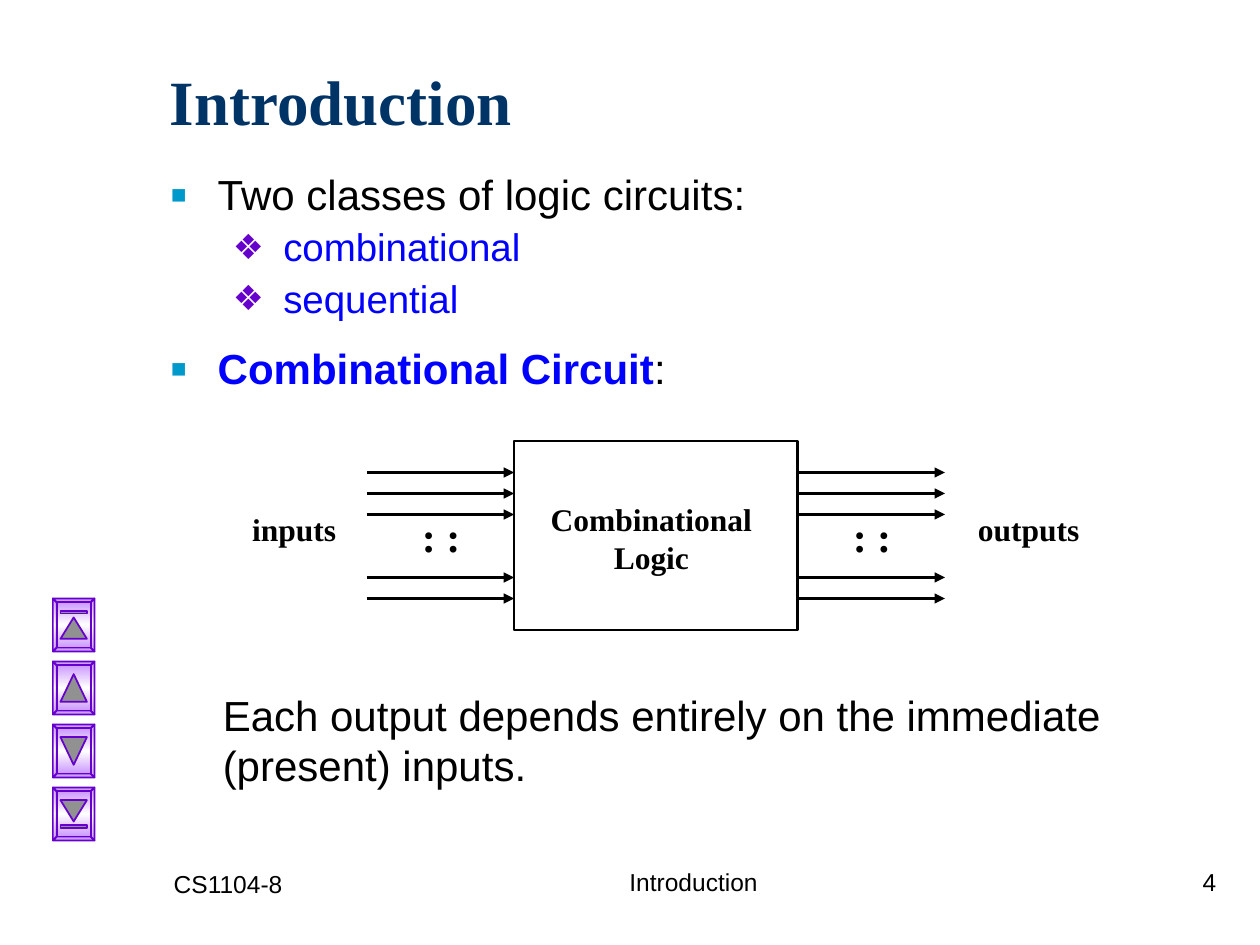
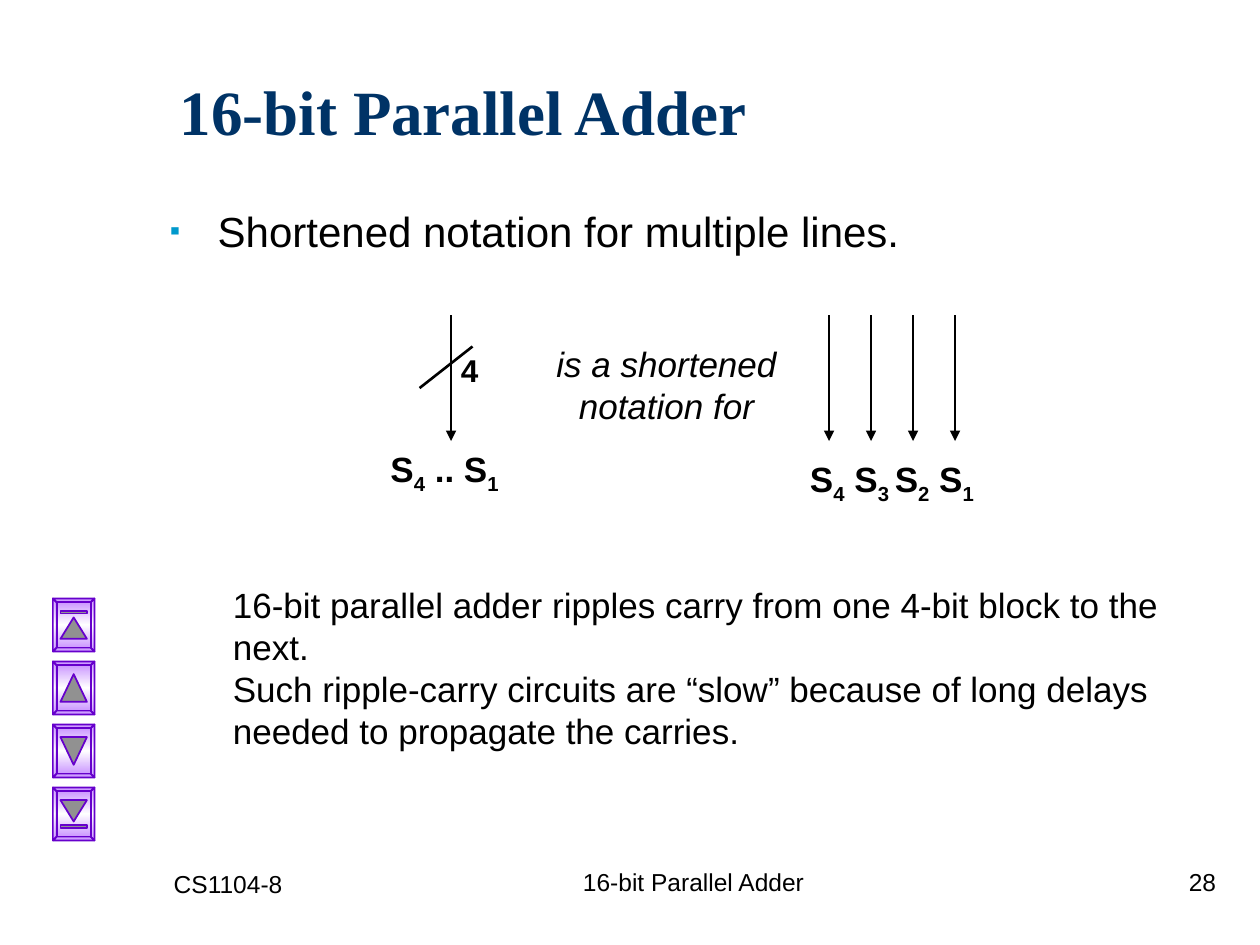
from copy import deepcopy

from lxml.etree import SubElement
from pptx import Presentation
from pptx.dml.color import RGBColor
from pptx.enum.shapes import MSO_CONNECTOR, MSO_SHAPE
from pptx.enum.text import MSO_ANCHOR, PP_ALIGN
from pptx.oxml.ns import qn
from pptx.util import Inches, Pt

BLACK, NAVY, BLUE = "000000", "003366", "0000FF"
TEAL, PURPLE, LAVENDER, WHITE, GRAY = "0099CC", "6600CC", "CC99FF", "FFFFFF", "919191"
SANS, SERIF = "Arial", "Times New Roman"
LEFT, CENTER, RIGHT = PP_ALIGN.LEFT, PP_ALIGN.CENTER, PP_ALIGN.RIGHT

BOLD = {"bold": True}
SUB = {"bold": True, "baseline": -25}
SQUARE, DIAMONDS = ("▪", TEAL), ("❖", PURPLE)


def rgb(color):
    return RGBColor.from_string(color)


def add_run(p, text, size, font=SANS, color=BLACK, bold=False, italic=False, baseline=0):
    r = p.add_run()
    r.text = text
    f = r.font
    f.size, f.name, f.bold, f.italic = Pt(size), font, bold, italic
    f.color.rgb = rgb(color)
    if baseline:
        f._element.set("baseline", str(baseline * 1000))


def new_frame(s, x, y, w, h, anchor=MSO_ANCHOR.TOP):
    tf = s.shapes.add_textbox(Inches(x), Inches(y), Inches(w), Inches(h)).text_frame
    tf.word_wrap = True
    tf.vertical_anchor = anchor
    return tf


def next_paragraph(tf):
    first = tf.paragraphs[0]
    return tf.add_paragraph() if first.runs else first


def add_text(s, box, paragraphs, size, align=LEFT, anchor=MSO_ANCHOR.TOP, **style):
    """Each paragraph is a string, or a list of (text, style) runs."""
    tf = new_frame(s, *box, anchor)
    for runs in paragraphs:
        p = next_paragraph(tf)
        p.alignment = align
        for text, extra in [(runs, {})] if isinstance(runs, str) else runs:
            add_run(p, text, size, **{**style, **extra})


def add_bullet(tf, runs, size, bullet, percent, margin, hang, before=0, spacing=None):
    p = next_paragraph(tf)
    char, color = bullet
    pPr = p._p.get_or_add_pPr()
    pPr.set("marL", str(Inches(margin)))
    pPr.set("indent", str(-Inches(hang)))
    SubElement(SubElement(pPr, qn("a:buClr")), qn("a:srgbClr")).set("val", color)
    SubElement(pPr, qn("a:buSzPct")).set("val", str(percent * 1000))
    SubElement(pPr, qn("a:buFont")).set("typeface", SANS)
    SubElement(pPr, qn("a:buChar")).set("char", char)
    p.space_before = Pt(before)
    if spacing:
        p.line_spacing = spacing
    for text, extra in runs:
        add_run(p, text, size, **extra)


def add_line(s, x1, y1, x2, y2, width, arrow=True):
    c = s.shapes.add_connector(MSO_CONNECTOR.STRAIGHT, *map(Inches, (x1, y1, x2, y2)))
    c.line.color.rgb = rgb(BLACK)
    c.line.width = Pt(width)
    if arrow:
        SubElement(c.line._get_or_add_ln(), qn("a:tailEnd")).set("type", "triangle")
    SubElement(c._element.spPr, qn("a:effectLst"))


def outline(sp, color, width):
    sp.shadow.inherit = False
    sp.line.color.rgb = rgb(color)
    sp.line.width = Pt(width)


def fill_gradient(sp):
    """Lavender at both ends, white in the middle, top to bottom."""
    sp.fill.gradient()
    stops = sp._element.spPr.find(".//" + qn("a:gsLst"))
    stops.append(deepcopy(stops[-1]))
    for stop, color, position in zip(sp.fill.gradient_stops, (LAVENDER, WHITE, LAVENDER), (0, 0.5, 1)):
        stop.color.rgb = rgb(color)
        stop.position = position
    sp.fill.gradient_angle = 90


def add_polygons(s, x, y, polygons):
    """One freeform whose contours are given relative to (x, y)."""
    contours = [[(Inches(x + px), Inches(y + py)) for px, py in points] for points in polygons]
    fb = s.shapes.build_freeform(*contours[0][0])
    for i, points in enumerate(contours):
        if i:
            fb.move_to(*points[0])
        fb.add_line_segments(points[1:], close=True)
    sp = fb.convert_to_shape()
    outline(sp, PURPLE, 1)
    return sp


def rectangle(left, top, right, bottom):
    return [(left, top), (right, top), (right, bottom), (left, bottom)]


def nav_button(s, x, y, up, bar):
    w, h, bevel = 0.33, 0.42, 0.03
    outer = rectangle(0, 0, w, h)
    inner = rectangle(bevel, bevel, w - bevel, h - bevel)
    sides = [[outer[i], outer[(i + 1) % 4], inner[(i + 1) % 4], inner[i]] for i in range(4)]
    fill_gradient(add_polygons(s, x, y, sides))
    fill_gradient(add_polygons(s, x, y, [inner]))

    tip, base = (0.15, 0.32) if bar else (0.1, 0.32)
    glyph = [[(w / 2, tip), (0.27, base), (0.06, base)]]
    if bar:
        glyph.append(rectangle(0.06, 0.1, 0.27, 0.12))
    if not up:
        glyph = [[(px, h - py) for px, py in points] for points in glyph]
    sp = add_polygons(s, x, y, glyph)
    sp.fill.solid()
    sp.fill.fore_color.rgb = rgb(GRAY)


def nav_buttons(s, x, y):
    for i, (up, bar) in enumerate([(True, True), (True, False), (False, False), (False, True)]):
        nav_button(s, x, y + i * 0.5, up, bar)


def footer(s, y, topic, number):
    add_text(s, (1.28, y + 0.02, 2.08, 0.5), ["CS1104-8"], 14)
    add_text(s, (3.92, y, 3.17, 0.5), [topic], 14, CENTER)
    add_text(s, (7.67, y, 2.08, 0.5), [str(number)], 14, RIGHT)


def new_slide(prs, title, number, x, y):
    s = prs.slides.add_slide(prs.slide_layouts[6])
    add_text(s, (x, y, 8.5, 1.25), [title], 36, anchor=MSO_ANCHOR.MIDDLE,
             font=SERIF, color=NAVY, bold=True)
    nav_buttons(s, 0.42, 4.75)
    footer(s, 6.83, title, number)
    return s


def circuit_diagram(s, x, y):
    """Logic block with its input and output lines; (x, y) is its top left."""
    label = {"size": 18, "align": CENTER, "font": SERIF, "bold": True}
    block_x, block_w, wire = x + 2.33, 2.25, 1.17
    block = s.shapes.add_shape(MSO_SHAPE.RECTANGLE, Inches(block_x), Inches(y),
                               Inches(block_w), Inches(1.5))
    outline(block, BLACK, 1.5)
    block.fill.background()
    add_text(s, (block_x + 0.09, y + 0.42, 2, 0.7), ["Combinational", "Logic"], **label)
    for wire_x in (block_x - wire, block_x + block_w):
        for row in (0, 1, 2, 5, 6):
            wire_y = y + 0.25 + row / 6
            add_line(s, wire_x, wire_y, wire_x + wire, wire_y, 1.25)
        add_text(s, (wire_x + 0.34, y + 0.5, 0.67, 0.5), [": :"], 24, font=SERIF, bold=True)
    for label_x, name in ((x, "inputs"), (x + 5.83, "outputs")):
        add_text(s, (label_x, y + 0.5, 1.17, 0.4), [name], **label)


def bus_notation(s, x, y):
    """A slashed line on the left stands for four lines on the right."""
    bus_x = x + 0.58
    add_line(s, bus_x, y, bus_x, y + 1, 1.5)
    add_line(s, bus_x + 0.17, y + 0.25, bus_x - 0.25, y + 0.58, 1.5, arrow=False)
    add_text(s, (bus_x - 0.02, y + 0.24, 0.33, 0.4), ["4"], 18, bold=True)
    add_text(s, (x, y + 1, 1.25, 0.48),
             [[("S", BOLD), ("4", SUB), (" .. S", BOLD), ("1", SUB)]], 20)
    add_text(s, (x + 1.25, y + 0.17, 2.08, 0.77), ["is a shortened notation for"], 20,
             CENTER, italic=True)
    for i in range(4):
        line_x = x + 3.58 + i / 3
        add_line(s, line_x, y, line_x, y + 1, 1.5)
    add_text(s, (x + 3.33, y + 1.08, 1.58, 0.48),
             [[("S", BOLD), ("4", SUB), (" S", BOLD), ("3 ", SUB),
               ("S", BOLD), ("2", SUB), (" S", BOLD), ("1", SUB)]], 20)


def introduction_slide(prs):
    s = new_slide(prs, "Introduction", 4, 1.25, 0.17)
    tf = new_frame(s, 1.25, 1.33, 8.5, 1.92)
    top = {"size": 24, "bullet": SQUARE, "percent": 120, "margin": 0.38, "hang": 0.38, "spacing": 0.9}
    add_bullet(tf, [("Two classes of logic circuits:", {})], **top)
    for name in ("combinational", "sequential"):
        add_bullet(tf, [(name, {"color": BLUE})], 22, DIAMONDS, 90, 0.9, 0.4, 5.5, 0.9)
    add_bullet(tf, [("Combinational Circuit", {"color": BLUE, "bold": True}), (":", {})],
               before=15, **top)
    circuit_diagram(s, 1.75, 3.5)
    add_text(s, (1.67, 5.42, 7.5, 1),
             ["Each output depends entirely on the immediate (present) inputs."], 24)


def adder_slide(prs):
    s = new_slide(prs, "16-bit Parallel Adder", 28, 1.33, 0.25)
    tf = new_frame(s, 1.25, 1.58, 8.5, 0.58)
    add_bullet(tf, [("Shortened notation for multiple lines.", {})], 24, SQUARE, 70, 0.38, 0.38)
    bus_notation(s, 3, 2.5)
    add_text(s, (1.75, 4.58, 8, 1.42),
             ["16-bit parallel adder ripples carry from one 4-bit block to the next.",
              "Such ripple-carry circuits are “slow” because of long delays "
              "needed to propagate the carries."], 20)


def main():
    prs = Presentation()
    prs.slide_width, prs.slide_height = Inches(10), Inches(7.5)
    introduction_slide(prs)
    adder_slide(prs)
    prs.save("out.pptx")


if __name__ == "__main__":
    main()
